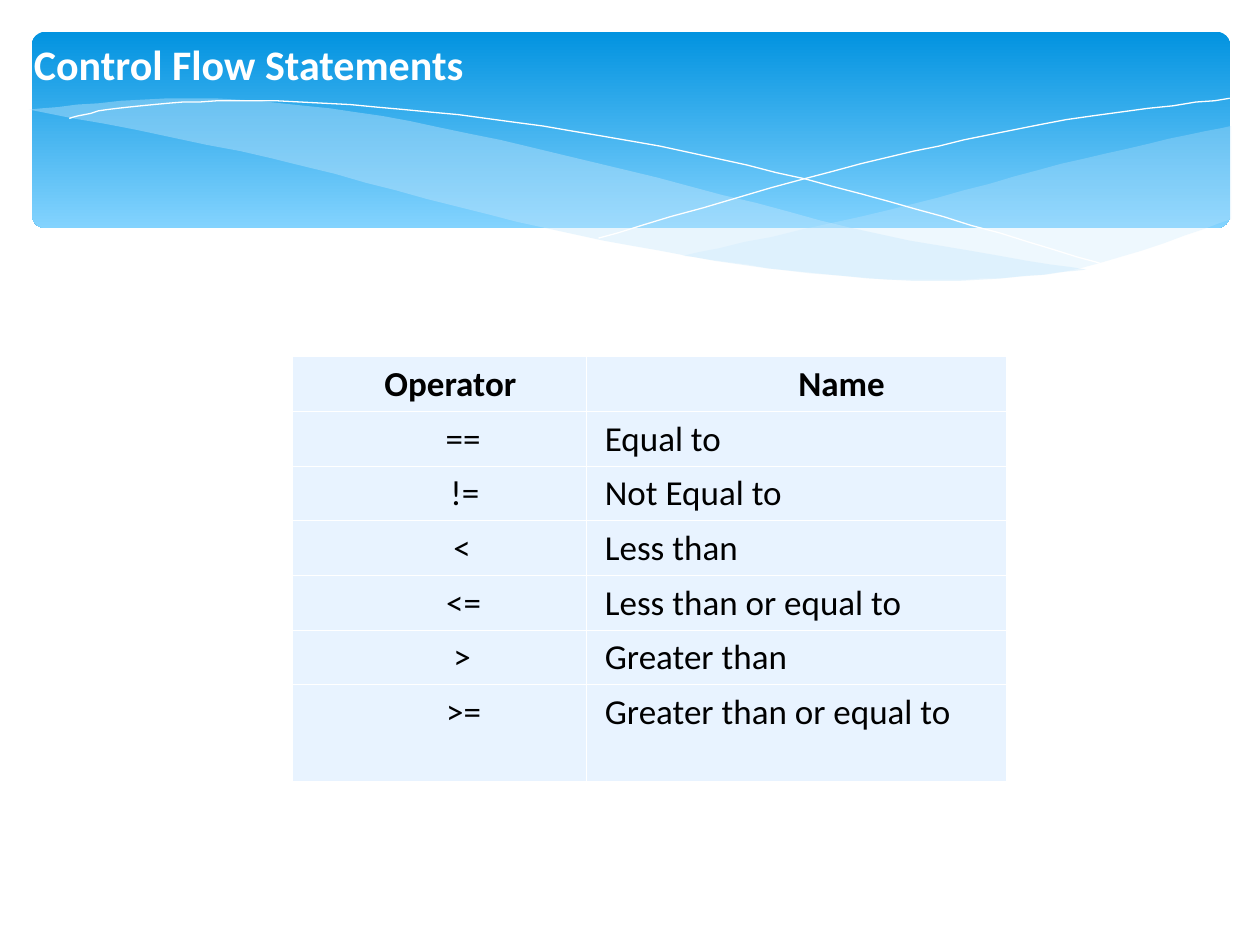
from dataclasses import dataclass

from lxml import etree
from pptx import Presentation
from pptx.dml.color import RGBColor
from pptx.enum.shapes import MSO_SHAPE
from pptx.enum.text import MSO_ANCHOR, MSO_AUTO_SIZE, PP_ALIGN
from pptx.oxml.ns import qn
from pptx.slide import Slide
from pptx.table import _Cell
from pptx.text.text import Font
from pptx.util import Cm, Pt

ROUNDED = MSO_SHAPE.ROUNDED_RECTANGLE
TOP = MSO_ANCHOR.TOP
LEFT, CENTER = PP_ALIGN.LEFT, PP_ALIGN.CENTER
NO_AUTOFIT = MSO_AUTO_SIZE.NONE

FONT = "Calibri"
COLORS = {
    "banner_top": "0293E0",
    "banner_bottom": "83D3FE",
    "wave": "C6E7FC",
    "white": "FFFFFF",
    "black": "000000",
    "cell": "E8F3FF",
}
WAVE_UNIT = Cm(2.54) / 100
CURVE_STEPS = 8
BORDER_TAGS = ("a:lnL", "a:lnR", "a:lnT", "a:lnB")
COLUMN_WIDTHS = (5.92, 8.48)
ROW_HEIGHT, LAST_ROW_HEIGHT = 0.97, 1.95

Point = tuple[float, float]


@dataclass
class Wave:
    edges: list[list[Point]]
    opacity: int = 0


@dataclass
class OperatorRow:
    operator: str
    name: str
    operator_indent: float
    name_indent: float = 0.13
    name_alignment: PP_ALIGN = LEFT
    bold: bool = False


WAVES = [
    Wave([[(977, 100), (860, 126), (704, 167), (542, 203)],
          [(542, 203), (657, 218), (753, 222), (857, 213), (977, 174)]], 29),
    Wave([[(23, 87), (152, 78), (303, 92), (497, 135), (699, 186), (862, 214)],
          [(862, 214), (743, 223), (588, 210), (410, 176), (217, 126), (23, 87)]], 40),
    Wave([[(55, 94), (102, 85), (203, 80), (364, 91), (547, 121), (727, 166), (882, 212)]]),
    Wave([[(475, 189), (661, 136), (825, 99), (976, 78)]]),
]

OPERATOR_ROWS = [
    OperatorRow("Operator", "Name", 0.46, 1.83, CENTER, True),
    OperatorRow("==", "Equal to", 0.97),
    OperatorRow("!=", "Not Equal to", 1.04),
    OperatorRow("< ", "Less than", 1.09),
    OperatorRow("<=", "Less than or equal to", 0.99),
    OperatorRow("> ", "Greater than", 1.09),
    OperatorRow(">=", "Greater than or equal to", 0.99),
]


def color(name: str) -> RGBColor:
    return RGBColor.from_string(COLORS[name])


def format_font(font: Font, size: float, color_name: str, bold: bool) -> None:
    font.name = FONT
    font.size = Pt(size)
    font.bold = bold
    font.color.rgb = color(color_name)


def spline(before: float, start: float, end: float, after: float, t: float) -> float:
    start_slope, end_slope = (end - before) / 2, (after - start) / 2
    blend = t * t * (3 - 2 * t)
    bend = t * (1 - t) * ((1 - t) * start_slope - t * end_slope)
    return start + (end - start) * blend + bend


def smooth_edge(knots: list[Point]) -> list[Point]:
    padded = [knots[0], *knots, knots[-1]]
    points = [knots[0]]
    for corners in zip(padded, padded[1:], padded[2:], padded[3:]):
        across, down = zip(*corners)
        for step in range(1, CURVE_STEPS + 1):
            t = step / CURVE_STEPS
            points.append((spline(*across, t), spline(*down, t)))
    return points


def draw_banner(slide: Slide) -> None:
    banner = slide.shapes.add_shape(ROUNDED, Cm(0.64), Cm(0.64), Cm(24.16), Cm(3.96))
    banner.adjustments[0] = 0.07
    banner.shadow.inherit = False
    banner.line.fill.background()
    banner.fill.gradient()
    banner.fill.gradient_angle = 270
    stops = zip(banner.fill.gradient_stops, ("banner_top", "banner_bottom"), (0, 1))
    for stop, color_name, position in stops:
        stop.color.rgb = color(color_name)
        stop.position = position


def draw_wave(slide: Slide, wave: Wave) -> None:
    filled = wave.opacity > 0
    points = [point for edge in wave.edges for point in smooth_edge(edge)]
    builder = slide.shapes.build_freeform(*points[0], scale=WAVE_UNIT)
    builder.add_line_segments(points[1:], close=filled)
    shape = builder.convert_to_shape()
    shape.shadow.inherit = False
    if filled:
        shape.fill.solid()
        shape.fill.fore_color.rgb = color("wave")
        fill_color = shape._element.spPr.find(".//" + qn("a:srgbClr"))
        etree.SubElement(fill_color, qn("a:alpha"), val=str(wave.opacity * 1000))
        shape.line.fill.background()
    else:
        shape.fill.background()
        shape.line.color.rgb = color("white")
        shape.line.width = Pt(0.75)


def draw_title(slide: Slide, text: str) -> None:
    title = slide.shapes.title
    title.left, title.top, title.width, title.height = Cm(0.43), Cm(0.64), Cm(10.95), Cm(1.27)
    text_frame = title.text_frame
    text_frame.text = text
    text_frame.word_wrap = False
    text_frame.auto_size = NO_AUTOFIT
    text_frame.vertical_anchor = TOP
    paragraph = text_frame.paragraphs[0]
    paragraph.alignment = LEFT
    format_font(paragraph.runs[0].font, 24, "white", True)
    slide.shapes._spTree.append(title._element)


def add_borders(cell: _Cell) -> None:
    properties = cell._tc.get_or_add_tcPr()
    for position, tag in enumerate(BORDER_TAGS):
        border = etree.Element(qn(tag), w=str(Pt(0.23)))
        fill = etree.SubElement(border, qn("a:solidFill"))
        etree.SubElement(fill, qn("a:srgbClr"), val=COLORS["white"])
        properties.insert(position, border)


def fill_cell(cell: _Cell, text: str, indent: float, alignment: PP_ALIGN, bold: bool) -> None:
    cell.fill.solid()
    cell.fill.fore_color.rgb = color("cell")
    add_borders(cell)
    cell.text_frame.text = text
    paragraph = cell.text_frame.paragraphs[0]
    paragraph.alignment = alignment
    paragraph.line_spacing = 0.98
    paragraph._p.get_or_add_pPr().set("marL", str(Cm(indent)))
    format_font(paragraph.runs[0].font, 20, "black", bold)


def draw_operator_table(slide: Slide, rows: list[OperatorRow]) -> None:
    heights = [ROW_HEIGHT] * (len(rows) - 1) + [LAST_ROW_HEIGHT]
    table = slide.shapes.add_table(
        len(rows), len(COLUMN_WIDTHS), Cm(5.89), Cm(7.19),
        Cm(sum(COLUMN_WIDTHS)), Cm(sum(heights)),
    ).table
    table.horz_banding = False
    for column, width in zip(table.columns, COLUMN_WIDTHS):
        column.width = Cm(width)
    for index, (row, height) in enumerate(zip(rows, heights)):
        table.rows[index].height = Cm(height)
        fill_cell(table.cell(index, 0), row.operator, row.operator_indent, CENTER, row.bold)
        fill_cell(table.cell(index, 1), row.name, row.name_indent, row.name_alignment, row.bold)


def main() -> None:
    presentation = Presentation()
    presentation.slide_width, presentation.slide_height = Cm(25.4), Cm(19.05)
    slide = presentation.slides.add_slide(presentation.slide_layouts[5])
    draw_banner(slide)
    for wave in WAVES:
        draw_wave(slide, wave)
    draw_title(slide, "Control Flow Statements")
    draw_operator_table(slide, OPERATOR_ROWS)
    presentation.save("out.pptx")


if __name__ == "__main__":
    main()
